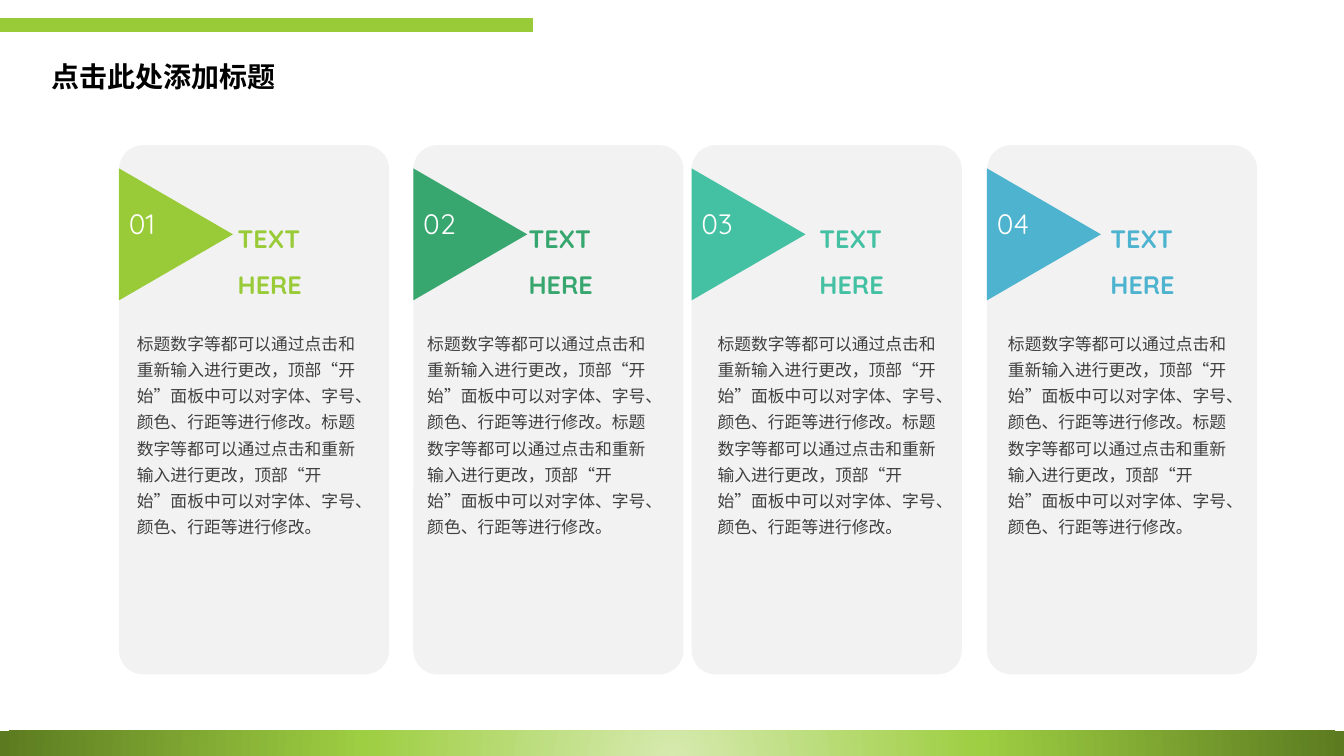
from lxml import etree
from pptx import Presentation
from pptx.dml.color import RGBColor
from pptx.enum.shapes import MSO_CONNECTOR, MSO_SHAPE
from pptx.enum.text import MSO_ANCHOR, PP_ALIGN
from pptx.oxml import parse_xml
from pptx.oxml.ns import nsdecls, qn
from pptx.util import Pt

LIME = RGBColor(0x99, 0xCB, 0x38)
GREEN = RGBColor(0x37, 0xA7, 0x6F)
TEAL = RGBColor(0x44, 0xC1, 0xA3)
BLUE = RGBColor(0x4E, 0xB3, 0xCF)
PANEL = RGBColor(0xF2, 0xF2, 0xF2)
WHITE = RGBColor(0xFF, 0xFF, 0xFF)
BLACK = RGBColor(0, 0, 0)
GREY = RGBColor(0x40, 0x40, 0x40)
FOOTER_STOPS = [(0, RGBColor(0xD6, 0xEA, 0xAF)), (46, RGBColor(0x9E, 0xCE, 0x42)),
                (100, RGBColor(0x5C, 0x7B, 0x20))]
CJK, LATIN = "Noto Sans CJK SC", "Quicksand"

TITLE = "点击此处添加标题"
LABEL = "TEXT HERE"
SENTENCE = "标题数字等都可以通过点击和重新输入进行更改，顶部“开始”面板中可以对字体、字号、颜色、行距等进行修改。"
CARDS = [("01", LIME, 85), ("02", GREEN, 295.2), ("03", TEAL, 494), ("04", BLUE, 705)]

SLIDE_W, SLIDE_H = 960, 540
CARD_TOP, CARD_W, CARD_H = 103.7, 193, 378
ARROW_BASE, ARROW_DEPTH, ARROW_TOP = 94.3, 81.4, 126.7
BODY_LEFT, BODY_STEP = 90.7, 207.4
LABEL_LEFT, LABEL_STEP = 162.7, 207.8


def box(*lengths):
    return [Pt(length) for length in lengths]


def add_filled(shapes, kind, bounds, color):
    shape = shapes.add_shape(kind, *box(*bounds))
    shape.shadow.inherit = False
    shape.fill.solid()
    shape.fill.fore_color.rgb = color
    shape.line.fill.background()
    return shape


def write(shape, text, size, font, color, bold=False, spacing=None):
    frame = shape.text_frame
    frame.word_wrap = True
    paragraph = frame.paragraphs[0]
    paragraph.alignment = PP_ALIGN.LEFT
    paragraph.line_spacing = spacing
    run = paragraph.add_run()
    run.text = text
    run.font.size = Pt(size)
    run.font.name = font
    run.font.bold = bold
    run.font.color.rgb = color
    if font == CJK:
        properties = run.font._element
        properties.set("lang", "zh-CN")
        etree.SubElement(properties, qn("a:ea")).set("typeface", font)
    return paragraph


prs = Presentation()
prs.slide_width, prs.slide_height = box(SLIDE_W, SLIDE_H)
slide = prs.slides.add_slide(prs.slide_layouts[5])
shapes = slide.shapes

top_bar = shapes.add_connector(MSO_CONNECTOR.STRAIGHT, *box(0, 18, 381, 18))
top_bar.line.color.rgb = LIME
top_bar.line.width = Pt(10)
etree.SubElement(top_bar._element.spPr, qn("a:effectLst"))

footer = add_filled(shapes, MSO_SHAPE.RECTANGLE, (0, 522, SLIDE_W, 20.9), LIME)
stops = "".join(f'<a:gs pos="{pos * 1000}"><a:srgbClr val="{color}"/></a:gs>'
                for pos, color in FOOTER_STOPS)
gradient = parse_xml(
    f'<a:gradFill {nsdecls("a")} rotWithShape="1"><a:gsLst>{stops}</a:gsLst>'
    '<a:path path="circle"><a:fillToRect l="50000" t="130000" r="50000" b="-30000"/>'
    '</a:path></a:gradFill>')
footer_props = footer._element.spPr
footer_props.replace(footer_props.find(qn("a:solidFill")), gradient)

title = shapes.title
title.left, title.top, title.width, title.height = box(29.5, 35.3, 351.4, 41.8)
title.text_frame.vertical_anchor = MSO_ANCHOR.MIDDLE
write(title, TITLE, 20, CJK, BLACK, True, 0.9).space_before = Pt(10)

for number, color, left in CARDS:
    card = add_filled(shapes, MSO_SHAPE.ROUNDED_RECTANGLE,
                      (left, CARD_TOP, CARD_W, CARD_H), PANEL)
    card.adjustments[0] = 0.09

for index, (number, color, left) in enumerate(CARDS):
    marker = shapes.add_group_shape().shapes
    arrow_left = left - (ARROW_BASE - ARROW_DEPTH) / 2
    arrow = add_filled(marker, MSO_SHAPE.ISOSCELES_TRIANGLE,
                       (arrow_left, ARROW_TOP, ARROW_BASE, ARROW_DEPTH), color)
    arrow.rotation = 90
    write(marker.add_textbox(*box(left, 144, 54.7, 46)), number, 20, LATIN, WHITE)

    body = shapes.add_textbox(*box(BODY_LEFT + index * BODY_STEP, 230.4, 181.4, 158.4))
    write(body, SENTENCE * 2, 12, CJK, GREY, spacing=Pt(18.7))

    label = shapes.add_textbox(*box(LABEL_LEFT + index * LABEL_STEP, 145.4, 98.6, 36))
    write(label, LABEL, 18, LATIN, color, True, 1.5)

prs.save("out.pptx")
